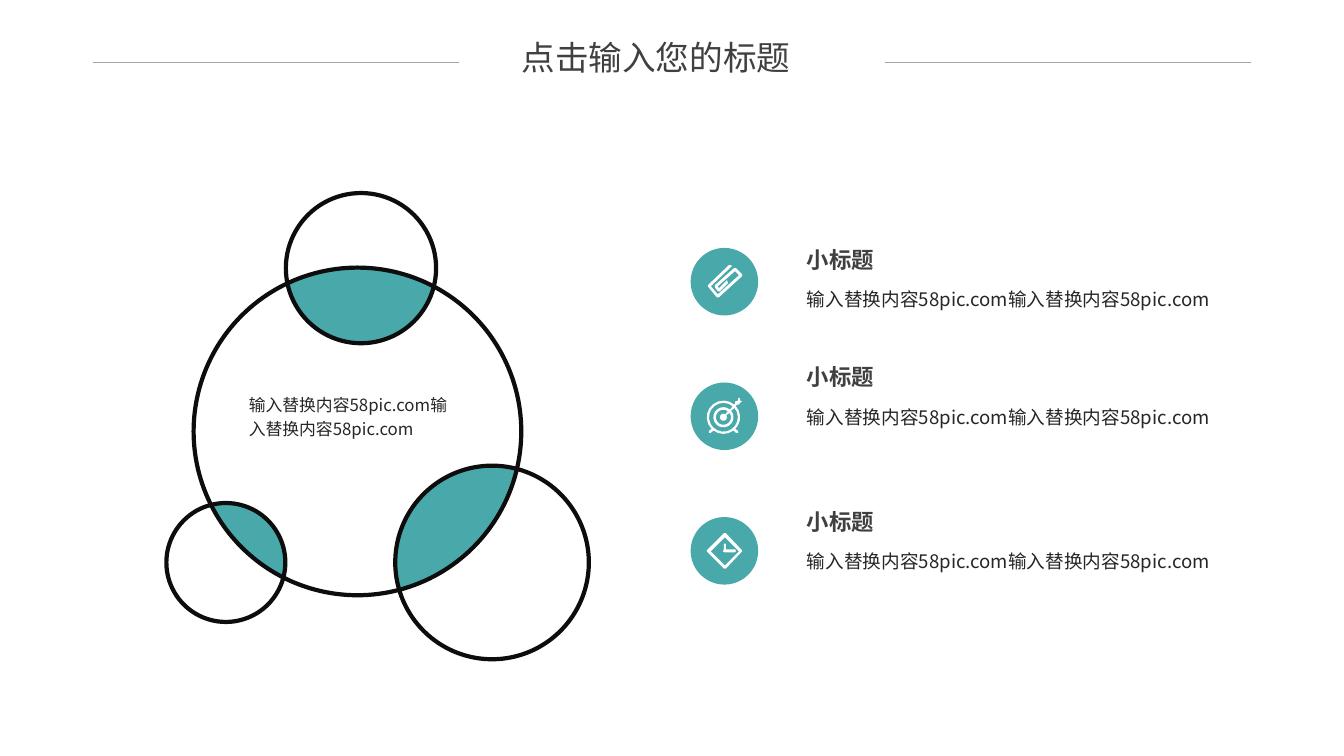
import math
from lxml import etree
from pptx import Presentation
from pptx import util as u
from pptx.dml.color import RGBColor
from pptx.enum import shapes, text
from pptx.oxml import ns

TEAL = RGBColor(0x48, 0xA8, 0xAA)
BLACK = RGBColor(0x0D, 0x0D, 0x0D)
WHITE = RGBColor(0xFF, 0xFF, 0xFF)
HEADING = RGBColor(0x40, 0x40, 0x40)
BODY = RGBColor(0x26, 0x26, 0x26)
RULE = RGBColor(0xA6, 0xA6, 0xA6)
FONT = "Noto Sans CJK JP"
CELL = u.Inches(0.1)
FILLER = "输入替换内容58pic.com"


def cells(*counts):
    """Turn counts of grid cells into lengths."""
    return [u.Emu(round(count * CELL)) for count in counts]


def arc(center, radius, start, stop, step):
    """List points along an arc, with angles in degrees."""
    steps = math.ceil(abs(stop - start) / step)
    angles = [math.radians(start + (stop - start) * i / steps) for i in range(steps + 1)]
    return [(center[0] + radius * math.cos(a), center[1] + radius * math.sin(a)) for a in angles]


def add_outline(page, contours, fill):
    """Draw closed contours, given in cells, as one filled freeform."""
    first, *others = [[cells(*point) for point in contour] for contour in contours]
    builder = page.shapes.build_freeform(*first[0], scale=1.0)
    builder.add_line_segments(first[1:], close=True)
    for contour in others:
        builder.move_to(*contour[0])
        builder.add_line_segments(contour[1:], close=True)
    paint(builder.convert_to_shape(), fill)


def add_circle(page, center, radius, fill=None, line=None):
    """Draw a circle around a center given in cells."""
    box = cells(center[0] - radius, center[1] - radius, 2 * radius, 2 * radius)
    paint(page.shapes.add_shape(shapes.MSO_SHAPE.OVAL, *box), fill, line)


def paint(shape, fill=None, line=None):
    """Set the fill and line of a shape and drop its shadow."""
    shape.shadow.inherit = False
    if fill is None:
        shape.fill.background()
    else:
        shape.fill.solid()
        shape.fill.fore_color.rgb = fill
    if line is None:
        shape.line.fill.background()
    else:
        shape.line.color.rgb = line
        shape.line.width = u.Pt(3)


def add_text(page, box, words, size, color, bold=False, spacing=None):
    """Add a wrapping text box with one run and return its frame."""
    frame = page.shapes.add_textbox(*cells(*box)).text_frame
    frame.word_wrap = True
    frame.auto_size = text.MSO_AUTO_SIZE.SHAPE_TO_FIT_TEXT
    para = frame.paragraphs[0]
    para.line_spacing = spacing
    span = para.add_run()
    span.text = words
    span.font.size, span.font.bold, span.font.name = u.Pt(size), bold, FONT
    span.font.color.rgb = color
    etree.SubElement(span.font._element, ns.qn("a:ea"), typeface=FONT)
    return frame


def add_header(page, box):
    """Place the title between two thin rules."""
    left, top, width, height = box
    rule_width, middle = 36.3, top + 2.5
    frame = add_text(page, (left + 35.4, top, 40.9, height), "点击输入您的标题", 24, HEADING)
    frame.margin_left = frame.margin_right = frame.margin_top = frame.margin_bottom = 0
    frame.vertical_anchor = text.MSO_ANCHOR.MIDDLE
    frame.paragraphs[0].alignment = text.PP_ALIGN.CENTER
    for start in (left, left + width - rule_width):
        ends = cells(start, middle, start + rule_width, middle)
        rule = page.shapes.add_connector(shapes.MSO_CONNECTOR.STRAIGHT, *ends)
        rule.line.color.rgb = RULE
        rule.line.width = u.Pt(0.5)
        etree.SubElement(rule._element.spPr, ns.qn("a:effectLst"))


def lens(hub, hub_radius, center, radius):
    """Outline the overlap of two circles."""
    dx, dy = center[0] - hub[0], center[1] - hub[1]
    gap, turn = math.hypot(dx, dy), math.degrees(math.atan2(dy, dx))
    hub_half = math.degrees(math.acos((gap**2 + hub_radius**2 - radius**2) / (2 * gap * hub_radius)))
    half = math.degrees(math.acos((gap**2 + radius**2 - hub_radius**2) / (2 * gap * radius)))
    rim = arc(hub, hub_radius, turn - hub_half, turn + hub_half, 8)
    return rim + arc(center, radius, turn + 180 - half, turn + 180 + half, 10)[1:-1]


def add_circles(page, box):
    """Draw a main circle whose overlaps with three satellites are filled."""
    left, top = box[:2]
    hub = ((left + 18.95, top + 23.7), 16.25)
    satellites = [((left + x, top + y), radius)
                  for x, y, radius in ((19.3, 7.5, 7.45), (32.3, 36.7, 9.6), (5.9, 36.7, 5.9))]
    for satellite in satellites:
        add_outline(page, [lens(*hub, *satellite)], TEAL)
    for center, radius in [hub] + satellites:
        add_circle(page, center, radius, line=BLACK)
    add_text(page, (left + 7.2, top + 19.2, 22, 5.7), FILLER * 2, 12, BODY, spacing=1.2)


def clip_contours():
    """Outline a paper clip in tenths of a cell."""
    return [[(26, 49), (28, 49), (51, 28), (51, 26), (45, 20), (43, 20), (24, 37), (24, 39),
             (27, 43), (29, 43), (37, 35), (37, 34), (36, 32), (28, 40), (27, 38), (44, 23),
             (48, 27), (27, 46), (20, 38), (41, 18), (40, 17), (38, 17), (17, 37), (17, 38)]]


def target_contours():
    """Outline a target with feet and a dart in tenths of a cell."""
    center, step = (32.5, 34.5), 20
    dart = [(46, 22), (48, 22), (49, 20), (51, 19), (49, 18), (49, 16),
            (48, 15), (47, 16), (47, 18), (44, 19), (44, 21)]
    body = (arc(center, 16.5, -50, -225, step) + [(18, 48), (18, 50), (20, 50)]
            + arc(center, 16.5, -233, -307, step) + [(45, 50), (47, 50), (47, 48)]
            + arc(center, 16.5, -315, -402, step) + dart)
    rings = [arc(center, outer, gap - 45, 315 - gap, step) + arc(center, inner, 315 - gap, gap - 45, step)
             for outer, inner, gap in ((14.3, 10, 5), (7.5, 3.5, 10))]
    return [body] + rings


def clock_contours():
    """Outline a diamond clock in tenths of a cell."""
    return [[(34, 16), (35, 16), (51, 33), (51, 34), (35, 51), (33, 51), (16, 34), (16, 33), (33, 16)],
            [(34, 20), (20, 34), (34, 48), (48, 34)],
            [(34, 26), (35, 27), (35, 32), (44, 32), (45, 33.5), (44, 35), (34, 35), (32, 34),
             (33, 32), (33, 27)]]


def add_entry(page, box, lift, contours):
    """Place a round badge with its icon, and a heading above a line of text."""
    left, top, width, height = box
    radius = height / 2
    add_circle(page, (left + radius, top + radius), radius, fill=TEAL)
    icon = [[(left + x / 10, top + y / 10) for x, y in contour] for contour in contours]
    add_outline(page, icon, WHITE)
    text_left, text_top = left + 10.55, top - lift
    add_text(page, (text_left, text_top + 3.75, width - 10.55, 3.6), FILLER * 2, 13.3, BODY, spacing=1.2)
    add_text(page, (text_left, text_top, 24.1, 3.7), "小标题", 16, HEADING, bold=True)


def main():
    """Build the slide and save it."""
    deck = Presentation()
    deck.slide_width, deck.slide_height = u.Inches(13.33), u.Inches(7.5)
    page = deck.slides.add_slide(deck.slide_layouts[6])
    add_header(page, (9.2, 3.7, 114.9, 4))
    add_circles(page, (16.5, 19.1, 41.9, 46.3))
    entries = [(0.7, clip_contours()), (2.4, target_contours()), (1.4, clock_contours())]
    for row, (lift, contours) in enumerate(entries):
        add_entry(page, (68.5, 24.6 + 13.35 * row, 67.2, 6.7), lift, contours)
    deck.save("out.pptx")


if __name__ == "__main__":
    main()
